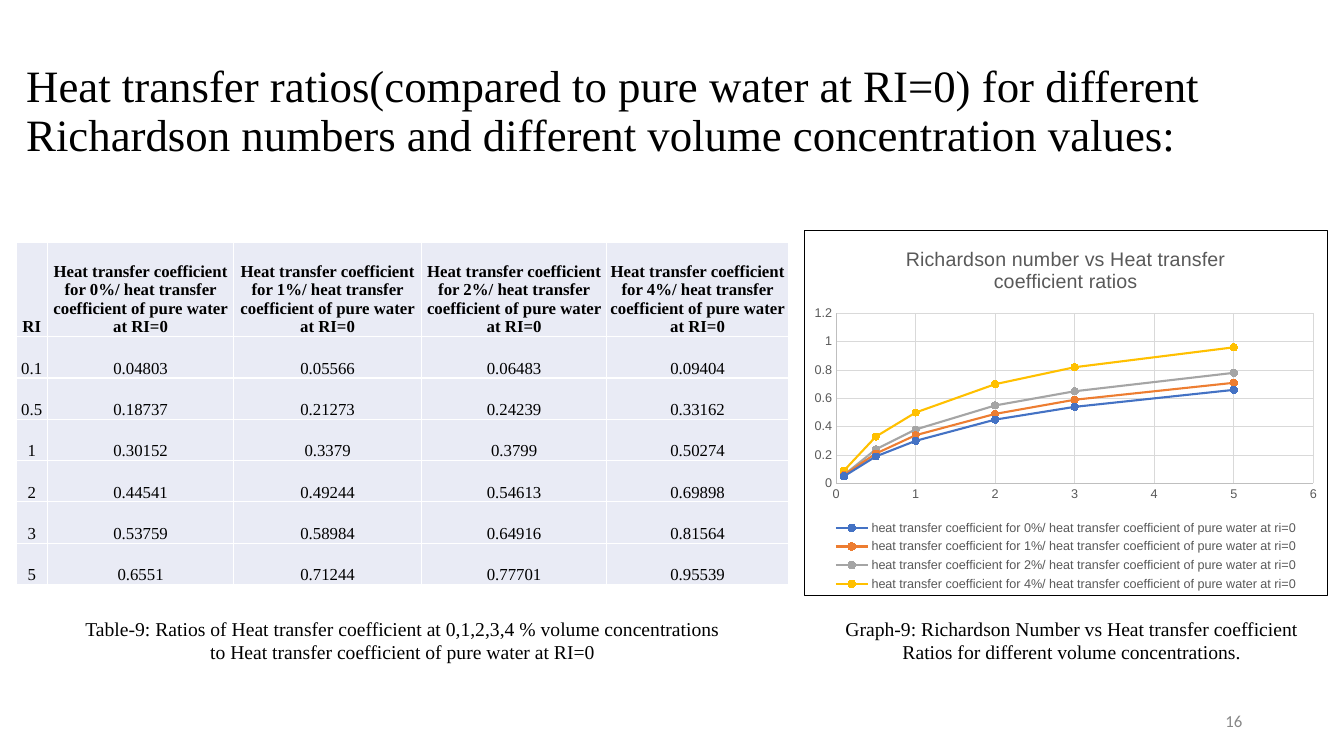
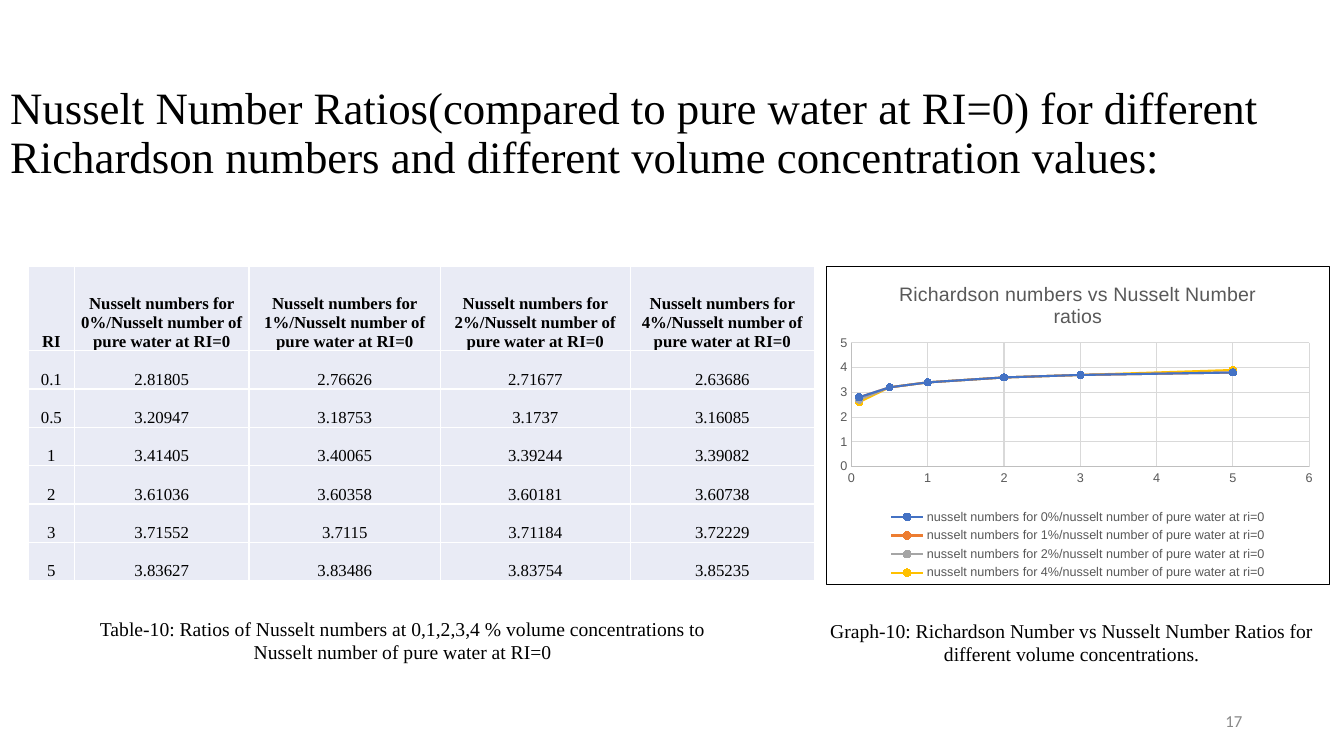
from lxml import etree
from pptx import Presentation
from pptx import util as u
from pptx.chart import data as chart_data
from pptx.dml.color import RGBColor
from pptx.enum import chart as chart_enum, text
from pptx.oxml import parse_xml
from pptx.oxml.ns import nsdecls, qn

# Shared scale, colours and formats
EMU_PER_PX = 9144  # 100 px to the inch
BLACK = RGBColor(0x00, 0x00, 0x00)
WHITE = RGBColor(0xFF, 0xFF, 0xFF)
CELL_FILL = RGBColor(0xE9, 0xEB, 0xF5)
PAGE_GREY = RGBColor(0x88, 0x88, 0x88)
CHART_TEXT = RGBColor(0x59, 0x59, 0x59)
AXIS_LINE = RGBColor(0xBF, 0xBF, 0xBF)
GRID_LINE = RGBColor(0xD9, 0xD9, 0xD9)
SERIES_COLOURS = [
    RGBColor(0x44, 0x72, 0xC4),
    RGBColor(0xED, 0x7D, 0x31),
    RGBColor(0xA5, 0xA5, 0xA5),
    RGBColor(0xFF, 0xC0, 0x00),
]

SERIF, SANS = "Times New Roman", "Arial"
TITLE_FONT = {"name": SERIF, "size": u.Pt(32), "bold": False, "colour": BLACK}
CAPTION_FONT = {"name": SERIF, "size": u.Pt(14), "colour": BLACK}
PAGE_FONT = {"name": "Calibri", "size": u.Pt(12), "colour": PAGE_GREY}
CELL_FONT = {"name": SERIF, "size": u.Pt(12), "bold": False, "colour": BLACK}
HEADER_FONT = {**CELL_FONT, "bold": True}
CHART_FONT = {"name": SANS, "size": u.Pt(10), "colour": BLACK}
CHART_TITLE_FONT = {"name": SANS, "size": u.Pt(14), "bold": False, "colour": CHART_TEXT}
CHART_LABEL_FONT = {"name": SANS, "size": u.Pt(9), "bold": False, "colour": CHART_TEXT}

PAGE_BOX = (942, 695, 300, 40)
TABLE_CAPTION_BOX = (66, 607, 667, 57)
RICHARDSON = [0.1, 0.5, 1, 2, 3, 5]
CONCENTRATIONS = [0, 1, 2, 4]

SLIDES = [
    {
        "page": 16,
        "title": "Heat transfer ratios(compared to pure water at RI=0) for different "
                 "Richardson numbers and different volume concentration values:",
        "title_box": (16, 39, 1301, 145),
        "heading": "Heat transfer coefficient for {}%/ heat transfer coefficient "
                   "of pure water at RI=0",
        "ratios": [
            [0.04803, 0.05566, 0.06483, 0.09404],
            [0.18737, 0.21273, 0.24239, 0.33162],
            [0.30152, 0.3379, 0.3799, 0.50274],
            [0.44541, 0.49244, 0.54613, 0.69898],
            [0.53759, 0.58984, 0.64916, 0.81564],
            [0.6551, 0.71244, 0.77701, 0.95539],
        ],
        "table_box": (16, 240, 766, 340),
        "columns": [31, 185, 186, 184, 180],
        "header_height": 94,
        "table_caption": "Table-9: Ratios of Heat transfer coefficient at 0,1,2,3,4 % volume "
                         "concentrations to Heat transfer coefficient of pure water at RI=0",
        "chart_type": chart_enum.XL_CHART_TYPE.XY_SCATTER_LINES,
        "chart_title": "Richardson number vs Heat transfer coefficient ratios",
        "chart_box": (797, 228, 520, 363),
        "digits": 2,
        "plot": None,
        "chart_caption": "Graph-9: Richardson Number vs Heat transfer coefficient Ratios "
                         "for different volume concentrations.",
        "chart_caption_box": (807, 607, 512, 57),
    },
    {
        "page": 17,
        "title": "Nusselt Number Ratios(compared to pure water at RI=0) for different "
                 "Richardson numbers and different volume concentration values:",
        "title_box": (0, 61, 1319, 145),
        "heading": "Nusselt numbers for {}%/Nusselt number of pure water at RI=0",
        "ratios": [
            [2.81805, 2.76626, 2.71677, 2.63686],
            [3.20947, 3.18753, 3.1737, 3.16085],
            [3.41405, 3.40065, 3.39244, 3.39082],
            [3.61036, 3.60358, 3.60181, 3.60738],
            [3.71552, 3.7115, 3.71184, 3.72229],
            [3.83627, 3.83486, 3.83754, 3.85235],
        ],
        "table_box": (28, 264, 780, 316),
        "columns": [46, 173, 190, 188, 183],
        "header_height": 84,
        "table_caption": "Table-10: Ratios of Nusselt numbers at 0,1,2,3,4 % volume "
                         "concentrations to Nusselt number of pure water at RI=0",
        "chart_type": chart_enum.XL_CHART_TYPE.XY_SCATTER_SMOOTH,
        "chart_title": "Richardson numbers vs Nusselt Number ratios",
        "chart_box": (819, 264, 500, 316),
        "digits": 1,
        "plot": {"x": 0.05, "y": 0.24, "w": 0.91, "h": 0.39},
        "chart_caption": "Graph-10: Richardson Number vs Nusselt Number Ratios "
                         "for different volume concentrations.",
        "chart_caption_box": (807, 609, 512, 57),
    },
]


def px(length):
    return u.Emu(length * EMU_PER_PX)


def emu_box(box):
    return [px(length) for length in box]


def set_values(target, values):
    for name, value in values.items():
        setattr(target, name, value)


def style_font(font, values):
    for name, value in values.items():
        if name == "colour":
            font.color.rgb = value
        else:
            setattr(font, name, value)


def style_line(line, colour, points):
    line.color.rgb = colour
    line.width = u.Pt(points)


def write_text(frame, content, font, **paragraph_values):
    paragraph = frame.paragraphs[0]
    set_values(paragraph, paragraph_values)
    run = paragraph.add_run()
    run.text = content
    style_font(run.font, font)


def add_title(slide, box, content):
    title = slide.shapes.title
    set_values(title, dict(zip(("left", "top", "width", "height"), emu_box(box))))
    set_values(title.text_frame, {
        "word_wrap": True,
        "auto_size": text.MSO_AUTO_SIZE.NONE,
        "vertical_anchor": text.MSO_ANCHOR.MIDDLE,
    })
    write_text(title.text_frame, content, TITLE_FONT,
               alignment=text.PP_ALIGN.LEFT, line_spacing=0.9)


def add_label(slide, box, content, font, alignment, anchor):
    frame = slide.shapes.add_textbox(*emu_box(box)).text_frame
    set_values(frame, {"word_wrap": True, "vertical_anchor": anchor})
    write_text(frame, content, font, alignment=alignment)


def add_caption(slide, box, content):
    add_label(slide, box, content, CAPTION_FONT, text.PP_ALIGN.CENTER, text.MSO_ANCHOR.TOP)


def style_cell(cell):
    set_values(cell, {
        "margin_left": px(1), "margin_right": px(1),
        "margin_top": px(1), "margin_bottom": 0,
        "vertical_anchor": text.MSO_ANCHOR.BOTTOM,
    })
    properties = cell._tc.get_or_add_tcPr()
    for side in ("lnL", "lnR", "lnT", "lnB"):
        border = etree.SubElement(properties, qn(f"a:{side}"), w=str(u.Pt(1)))
        fill = etree.SubElement(border, qn("a:solidFill"))
        etree.SubElement(fill, qn("a:srgbClr"), val=str(WHITE))
    cell.fill.solid()
    cell.fill.fore_color.rgb = CELL_FILL


def add_ratio_table(slide, box, headings, ratios, columns, header_height):
    rows = [["RI", *headings]]
    rows += [[number, *values] for number, values in zip(RICHARDSON, ratios)]
    table = slide.shapes.add_table(len(rows), len(columns), *emu_box(box)).table
    set_values(table, {"first_row": False, "horz_banding": False})
    for column, width in zip(table.columns, columns):
        column.width = px(width)
    row_height = (box[3] - header_height) // len(ratios)
    for row_index, values in enumerate(rows):
        is_header = row_index == 0
        table.rows[row_index].height = px(header_height if is_header else row_height)
        for column_index, value in enumerate(values):
            cell = table.cell(row_index, column_index)
            style_cell(cell)
            write_text(cell.text_frame, str(value), HEADER_FONT if is_header else CELL_FONT,
                       alignment=text.PP_ALIGN.CENTER)


def style_axis(axis):
    set_values(axis, {
        "has_major_gridlines": True,
        "major_tick_mark": chart_enum.XL_TICK_MARK.NONE,
        "minor_tick_mark": chart_enum.XL_TICK_MARK.NONE,
    })
    style_line(axis.major_gridlines.format.line, GRID_LINE, 0.75)
    style_line(axis.format.line, AXIS_LINE, 0.75)
    style_font(axis.tick_labels.font, CHART_LABEL_FONT)


def style_series(series, colour, smooth):
    series.smooth = smooth
    style_line(series.format.line, colour, 1.5)
    marker = series.marker
    set_values(marker, {"style": chart_enum.XL_MARKER_STYLE.CIRCLE, "size": 5})
    marker.format.fill.solid()
    marker.format.fill.fore_color.rgb = colour
    style_line(marker.format.line, colour, 0.75)


def frame_chart(chart):
    """Give the chart area a white fill and a thin black border."""
    chart._chartSpace.find(qn("c:chart")).addnext(parse_xml(
        f'<c:spPr {nsdecls("c", "a")}>'
        f'<a:solidFill><a:srgbClr val="{WHITE}"/></a:solidFill>'
        f'<a:ln w="{u.Pt(0.75)}"><a:solidFill><a:srgbClr val="{BLACK}"/></a:solidFill></a:ln>'
        '</c:spPr>'))


def place_plot(chart, plot):
    """Fix the inner plot area as fractions of the chart."""
    area = chart._chartSpace.find(qn("c:chart")).find(qn("c:plotArea"))
    for old_layout in area.findall(qn("c:layout")):
        area.remove(old_layout)
    layout = etree.Element(qn("c:layout"))
    manual = etree.SubElement(layout, qn("c:manualLayout"))
    settings = {"layoutTarget": "inner", "xMode": "edge", "yMode": "edge", **plot}
    for name, value in settings.items():
        etree.SubElement(manual, qn(f"c:{name}"), val=str(value))
    area.insert(0, layout)


def add_ratio_chart(slide, box, kind, title, headings, ratios, digits, plot):
    points = chart_data.XyChartData()
    for heading, values in zip(headings, zip(*ratios)):
        series = points.add_series(heading.lower())
        for number, value in zip(RICHARDSON, values):
            series.add_data_point(number, round(value, digits))
    chart = slide.shapes.add_chart(kind, *emu_box(box), points).chart
    style_font(chart.font, CHART_FONT)
    frame_chart(chart)

    # Title and legend
    chart.has_title = True
    write_text(chart.chart_title.text_frame, title, CHART_TITLE_FONT)
    chart.chart_title.include_in_layout = False
    chart.has_legend = True
    set_values(chart.legend, {
        "position": chart_enum.XL_LEGEND_POSITION.BOTTOM,
        "include_in_layout": False,
    })
    style_font(chart.legend.font, CHART_LABEL_FONT)

    # Axes and series
    for axis in (chart.category_axis, chart.value_axis):
        style_axis(axis)
    chart.plots[0].vary_by_categories = False
    smooth = kind == chart_enum.XL_CHART_TYPE.XY_SCATTER_SMOOTH
    for series, colour in zip(chart.plots[0].series, SERIES_COLOURS):
        style_series(series, colour, smooth)
    if plot:
        place_plot(chart, plot)


def build_slide(presentation, content):
    slide = presentation.slides.add_slide(presentation.slide_layouts[5])
    headings = [content["heading"].format(percent) for percent in CONCENTRATIONS]
    add_title(slide, content["title_box"], content["title"])
    add_label(slide, PAGE_BOX, str(content["page"]), PAGE_FONT,
              text.PP_ALIGN.RIGHT, text.MSO_ANCHOR.MIDDLE)
    add_ratio_table(slide, content["table_box"], headings, content["ratios"],
                    content["columns"], content["header_height"])
    add_ratio_chart(slide, content["chart_box"], content["chart_type"], content["chart_title"],
                    headings, content["ratios"], content["digits"], content["plot"])
    add_caption(slide, TABLE_CAPTION_BOX, content["table_caption"])
    add_caption(slide, content["chart_caption_box"], content["chart_caption"])


def main():
    presentation = Presentation()
    set_values(presentation, {"slide_width": px(1333), "slide_height": px(750)})
    for content in SLIDES:
        build_slide(presentation, content)
    presentation.save("out.pptx")


if __name__ == "__main__":
    main()
